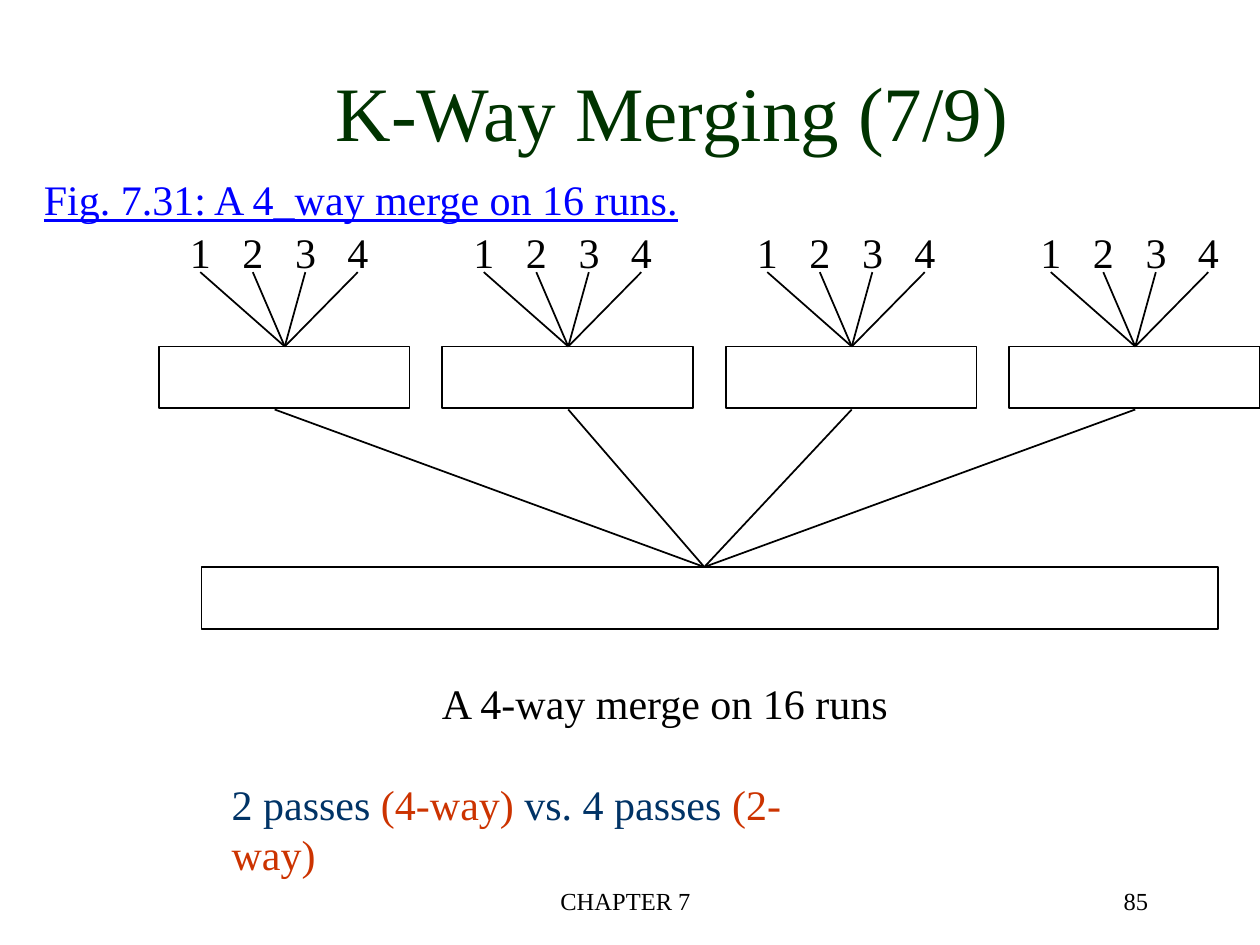
from pptx import Presentation
from pptx.dml.color import RGBColor
from pptx.enum.shapes import MSO_CONNECTOR as Connector, MSO_SHAPE as Shape
from pptx.enum.text import MSO_ANCHOR as Anchor, PP_ALIGN as Align
from pptx.oxml.ns import qn
from pptx.util import Inches, Pt
from lxml.etree import SubElement

COLORS = {
    "ink": "000000",
    "title": "003300",
    "caption": "0000FF",
    "passes": "003366",
    "ways": "CC3300",
}


class MergeSlide:
    """Holds the slide being drawn and its common text and line style."""
    font = "Times New Roman"
    line_width = Pt(1)

    def __init__(self, deck):
        self.slide = deck.slides.add_slide(deck.slide_layouts[6])

    def color(self, name):
        return RGBColor.from_string(COLORS[name])

    def text(self, box, runs, size=24, align=Align.LEFT, anchor=Anchor.TOP,
             wrap=False, underline=None, tabs=()):
        """Add one paragraph; runs are (words, color name) pairs, tabs are inches."""
        frame = self.slide.shapes.add_textbox(*map(Inches, box)).text_frame
        frame.word_wrap = wrap
        frame.vertical_anchor = anchor
        paragraph = frame.paragraphs[0]
        paragraph.alignment = align
        if tabs:
            stops = SubElement(paragraph._p.get_or_add_pPr(), qn("a:tabLst"))
            for stop in tabs:
                SubElement(stops, qn("a:tab"), pos=str(Inches(stop)), algn="l")
        style = {"name": self.font, "size": Pt(size), "underline": underline}
        for words, color in runs:
            run = paragraph.add_run()
            run.text = words
            for key, value in style.items():
                setattr(run.font, key, value)
            run.font.color.rgb = self.color(color)

    def box(self, left, top, width, height):
        outline = self.slide.shapes.add_shape(
            Shape.RECTANGLE, *map(Inches, (left, top, width, height)))
        outline.shadow.inherit = False
        outline.fill.background()
        self.stroke(outline)

    def link(self, start, end):
        branch = self.slide.shapes.add_connector(
            Connector.STRAIGHT, *map(Inches, (*start, *end)))
        SubElement(branch._element.spPr, qn("a:effectLst"))
        self.stroke(branch)

    def stroke(self, item):
        item.line.color.rgb = self.color("ink")
        item.line.width = self.line_width


def draw_tree(page):
    """Draw four groups of four runs, each merged, then merged into one."""
    fan_in = 4
    group_pitch, digit_pitch = 2.25, 1.25 / 3
    run_top, merge_top, final_top = 2.16, 2.75, 4.5
    box_height = 0.49
    final_entry = (5.59, final_top)
    digits = "\t".join(str(n + 1) for n in range(fan_in))
    stops = [n * digit_pitch for n in range(1, fan_in)]

    page.box(1.6, final_top, 8.07, box_height)
    for group in range(fan_in):
        left = 1.26 + group * group_pitch
        center = left + 1
        page.box(left, merge_top, 1.99, box_height)
        page.text((left + 0.15, 1.75, 1.7, 0.5), [(digits, "ink")],
                  wrap=True, tabs=stops)
        for n in range(fan_in):
            page.link((left + 0.33 + n * digit_pitch, run_top),
                      (center, merge_top))
        exit_x = 2.18 if group == 0 else center
        page.link((exit_x, 3.25), final_entry)


def main():
    deck = Presentation()
    deck.slide_width, deck.slide_height = Inches(10), Inches(7.5)
    page = MergeSlide(deck)

    page.text((0.67, 0.25, 9.33, 1.25), [("K-Way Merging (7/9)", "title")],
              size=44, align=Align.CENTER, anchor=Anchor.MIDDLE, wrap=True)
    page.text((0.25, 1.33, 5.27, 0.5),
              [("Fig. 7.31: A 4_way merge on 16 runs.", "caption")], underline=True)
    draw_tree(page)
    page.text((3.41, 5.33, 3.77, 0.5), [("A 4-way merge on 16 runs", "ink")])
    page.text((1.74, 6.13, 5.22, 0.5),
              [("2 passes ", "passes"), ("(4-way)", "ways"),
               (" vs. 4 passes ", "passes"), ("(2-way)", "ways")])
    page.text((3.38, 6.98, 3.17, 0.5), [("CHAPTER 7", "ink")],
              size=14, align=Align.CENTER, wrap=True)
    page.text((7.13, 6.98, 2.08, 0.5), [("85", "ink")],
              size=14, align=Align.RIGHT, wrap=True)

    deck.save("out.pptx")


if __name__ == "__main__":
    main()
